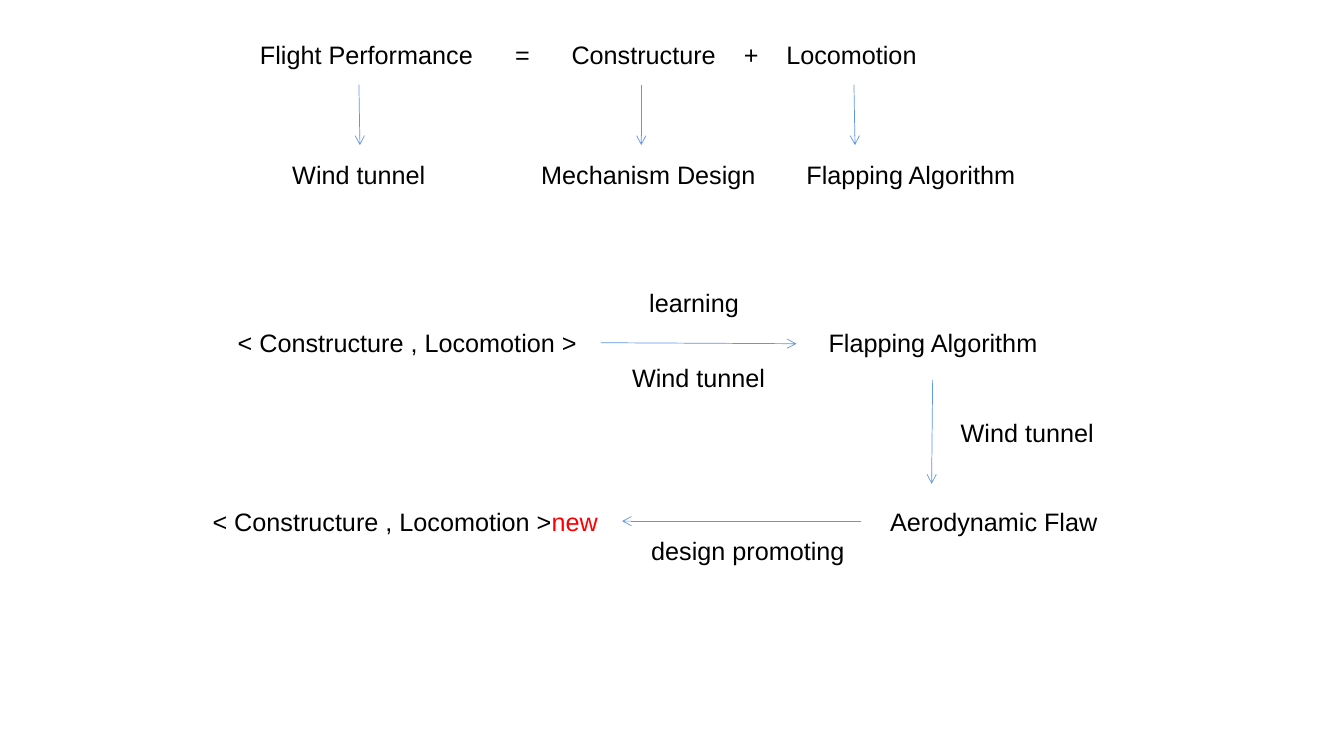
import pptx
import pptx.util
import pptx.dml.color
import pptx.enum.shapes
import pptx.enum.text
import pptx.oxml.ns
import lxml.etree

Inches = pptx.util.Inches
RGBColor = pptx.dml.color.RGBColor
qn = pptx.oxml.ns.qn

BLACK = RGBColor(0x00, 0x00, 0x00)
RED = RGBColor(0xFF, 0x00, 0x00)
BLUE = RGBColor(0x60, 0x96, 0xE6)

deck = pptx.Presentation()
deck.slide_width = Inches(13.33)
deck.slide_height = Inches(7.5)
page = deck.slides.add_slide(deck.slide_layouts[6])


def add_label(text, left, top, width, suffix="", suffix_color=RED, tabs=()):
    box = page.shapes.add_textbox(Inches(left), Inches(top), Inches(width), Inches(0.4))
    frame = box.text_frame
    frame.word_wrap = bool(tabs)
    frame.auto_size = pptx.enum.text.MSO_AUTO_SIZE.SHAPE_TO_FIT_TEXT
    para = frame.paragraphs[0]
    for content, color in ((text, BLACK), (suffix, suffix_color)):
        if content:
            span = para.add_run()
            span.text = content
            span.font.name = "Arial"
            span.font.size = pptx.util.Pt(18)
            span.font.color.rgb = color
    if tabs:
        properties = para._p.get_or_add_pPr()
        stops = lxml.etree.SubElement(properties, qn("a:tabLst"))
        for position in tabs:
            lxml.etree.SubElement(stops, qn("a:tab"), pos=str(Inches(position)), algn="l")
    return box


def add_arrow(start_x, start_y, end_x, end_y):
    arrow = page.shapes.add_connector(
        pptx.enum.shapes.MSO_CONNECTOR.STRAIGHT,
        Inches(start_x), Inches(start_y), Inches(end_x), Inches(end_y))
    arrow.line.color.rgb = BLUE
    arrow.line.width = pptx.util.Pt(0.5)
    lxml.etree.SubElement(arrow.line._get_or_add_ln(), qn("a:tailEnd"), type="arrow")
    lxml.etree.SubElement(arrow._element.spPr, qn("a:effectLst"))
    return arrow


add_label("Flight Performance\t=\tConstructure\t+\tLocomotion", 2.48, 0.34, 6.71,
          tabs=(2.53, 3.09, 4.8, 5.22))

for method, left, width, start_x, end_x in (
    ("Wind tunnel", 2.8, 1.52, 3.56, 3.57),
    ("Mechanism Design", 5.27, 2.33, 6.36, 6.36),
    ("Flapping Algorithm", 7.9, 2.27, 8.47, 8.48),
):
    add_label(method, left, 1.53, width)
    add_arrow(start_x, 0.84, end_x, 1.44)

current_pair = add_label("< Constructure , Locomotion >", 2.26, 3.2, 3.7)
new_pair = add_label("< Constructure , Locomotion >", 2.01, 4.97, 4.16, suffix="new")

for step, left, top, width in (
    ("Flapping Algorithm", 8.12, 3.2, 2.27),
    ("learning", 6.34, 2.8, 1.09),
    ("Wind tunnel", 6.17, 3.55, 1.52),
    ("Wind tunnel", 9.43, 4.09, 1.52),
    ("Aerodynamic Flaw", 8.73, 4.97, 2.26),
    ("design promoting", 6.36, 5.26, 2.12),
):
    add_label(step, left, top, width)

learning_arrow = add_arrow(5.96, 3.4, 7.9, 3.41)
learning_arrow.begin_connect(current_pair, 3)
add_arrow(9.25, 3.77, 9.24, 4.8)
promoting_arrow = add_arrow(8.54, 5.17, 6.17, 5.17)
promoting_arrow.end_connect(new_pair, 3)

deck.save("out.pptx")
